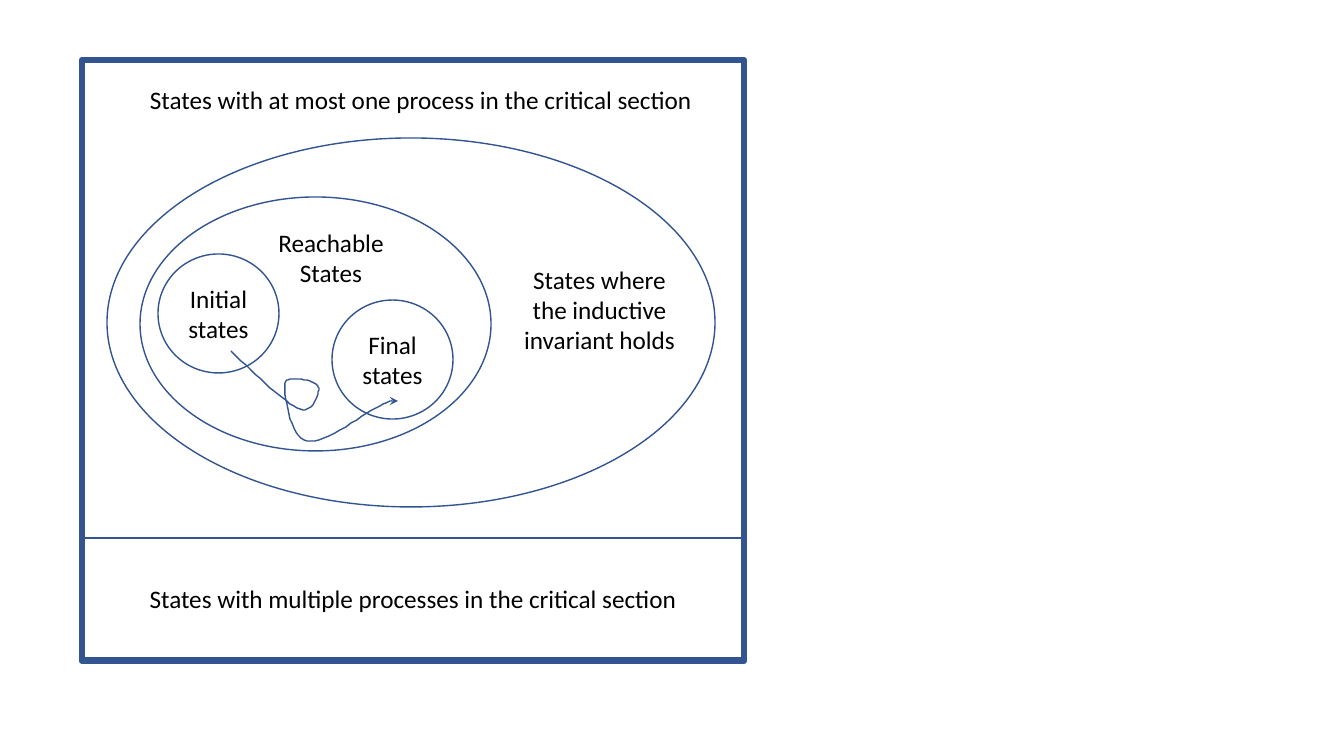
import pptx
import pptx.util
import pptx.dml.color
import pptx.enum.shapes
import pptx.enum.text
import pptx.oxml
import pptx.oxml.ns

PX = 914400 / 100.8
SLIDE = (1344, 756)
THEME = {"font": "Calibri", "size": 18, "ink": "000000", "outline": "325491",
         "thin": 1, "thick": 4.5}
OVAL = pptx.enum.shapes.MSO_SHAPE.OVAL
RECT = pptx.enum.shapes.MSO_SHAPE.RECTANGLE
ALIGN = pptx.enum.text.PP_ALIGN
ANCHOR = pptx.enum.text.MSO_ANCHOR

# Regions from back to front: preset, (left, top, width, height), lines of text
FRAME_LEFT, FRAME_TOP, FRAME_WIDTH = 82, 60, 662
SAFE_HEIGHT, UNSAFE_HEIGHT = 478, 120
STATE_SETS = [
    (OVAL, (107, 138, 608, 369), []),
    (OVAL, (140, 197, 351, 254), []),
    (OVAL, (158, 254, 121, 119), ["Initial", "states"]),
    (OVAL, (332, 300, 121, 119), ["Final", "states"]),
    (RECT, (FRAME_LEFT, FRAME_TOP, FRAME_WIDTH, SAFE_HEIGHT), []),
    (RECT, (FRAME_LEFT, FRAME_TOP + SAFE_HEIGHT, FRAME_WIDTH, UNSAFE_HEIGHT),
     ["States with multiple processes in the critical section"]),
]
FRAME = (FRAME_LEFT, FRAME_TOP, FRAME_WIDTH, 601)

# Labels: (left, top, width, height), text, format
LABELS = [
    ((261, 222, 140, 72), "Reachable States", {}),
    ((505, 259, 189, 102), "States where the inductive invariant holds", {}),
    ((140, 79, 568, 40), "States with at most one process in the critical section",
     {"align": ALIGN.LEFT, "wrap": False}),
]

# Execution from an initial to a final state: start, then cubic Bezier pieces
RUN_START = (231, 351)
RUN_CURVES = [
    ((258, 377), (285, 403), (300, 409)),
    ((314, 415), (321, 390), (318, 386)),
    ((316, 381), (286, 374), (285, 383)),
    ((283, 392), (290, 437), (307, 441)),
    ((324, 445), (368, 411), (383, 404)),
    ((398, 398), (398, 399), (398, 401)),
]
CURVE_STEPS = 16


def emu(box):
    """Turn pixel lengths into EMU."""
    return [round(length * PX) for length in box]


def rgb(name):
    """Look up a theme colour."""
    return pptx.dml.color.RGBColor.from_string(THEME[name])


def write(shape, lines, align=ALIGN.CENTER, anchor=ANCHOR.MIDDLE, wrap=True):
    """Write one paragraph per line into a shape."""
    frame = shape.text_frame
    frame.word_wrap = wrap
    frame.vertical_anchor = anchor
    frame.text = "\n".join(lines)
    for paragraph in frame.paragraphs:
        paragraph.alignment = align
        for run in paragraph.runs:
            run.font.name = THEME["font"]
            run.font.size = pptx.util.Pt(THEME["size"])
            run.font.color.rgb = rgb("ink")


def outline(shape, weight="thin"):
    """Leave a shape unfilled with a plain outline."""
    shape.shadow.inherit = False
    shape.fill.background()
    shape.line.color.rgb = rgb("outline")
    shape.line.width = pptx.util.Pt(THEME[weight])


def add_region(slide, preset, box, lines=(), weight="thin"):
    """Draw a set of states with its optional label."""
    region = slide.shapes.add_shape(preset, *emu(box))
    outline(region, weight)
    if lines:
        write(region, lines)


def bezier(start, first, second, end):
    """Sample a cubic Bezier piece, leaving out its start."""
    for step in range(1, CURVE_STEPS + 1):
        t = step / CURVE_STEPS
        weights = ((1 - t) ** 3, 3 * t * (1 - t) ** 2, 3 * t * t * (1 - t), t ** 3)
        yield tuple(sum(w * point[axis] for w, point in
                        zip(weights, (start, first, second, end)))
                    for axis in (0, 1))


def add_run(slide):
    """Draw the looping arrow of an execution."""
    points, start = [], RUN_START
    for curve in RUN_CURVES:
        points.extend(bezier(start, *curve))
        start = curve[-1]
    builder = slide.shapes.build_freeform(*RUN_START, scale=PX)
    builder.add_line_segments(points, close=False)
    execution = builder.convert_to_shape()
    outline(execution)
    arrowhead = pptx.oxml.parse_xml(
        f'<a:tailEnd {pptx.oxml.ns.nsdecls("a")} type="stealth"/>')
    execution.line._get_or_add_ln().append(arrowhead)


def main():
    """Build and save the slide."""
    deck = pptx.Presentation()
    deck.slide_width, deck.slide_height = emu(SLIDE)
    slide = deck.slides.add_slide(deck.slide_layouts[6])
    for preset, box, lines in STATE_SETS:
        add_region(slide, preset, box, lines)
    for box, label, style in LABELS:
        write(slide.shapes.add_textbox(*emu(box)), [label],
              anchor=ANCHOR.TOP, **style)
    add_region(slide, RECT, FRAME, weight="thick")
    add_run(slide)
    deck.save("out.pptx")


main()
